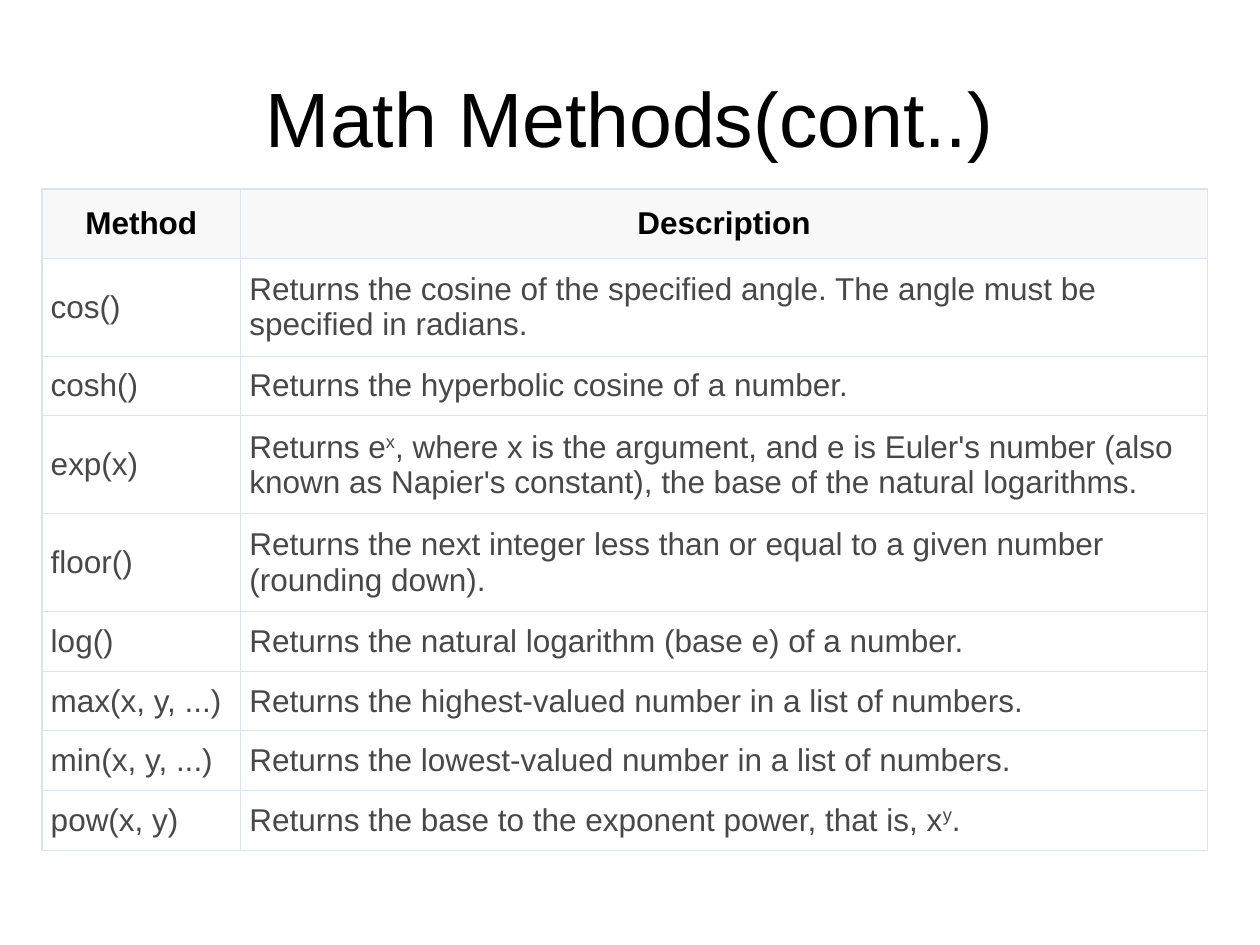
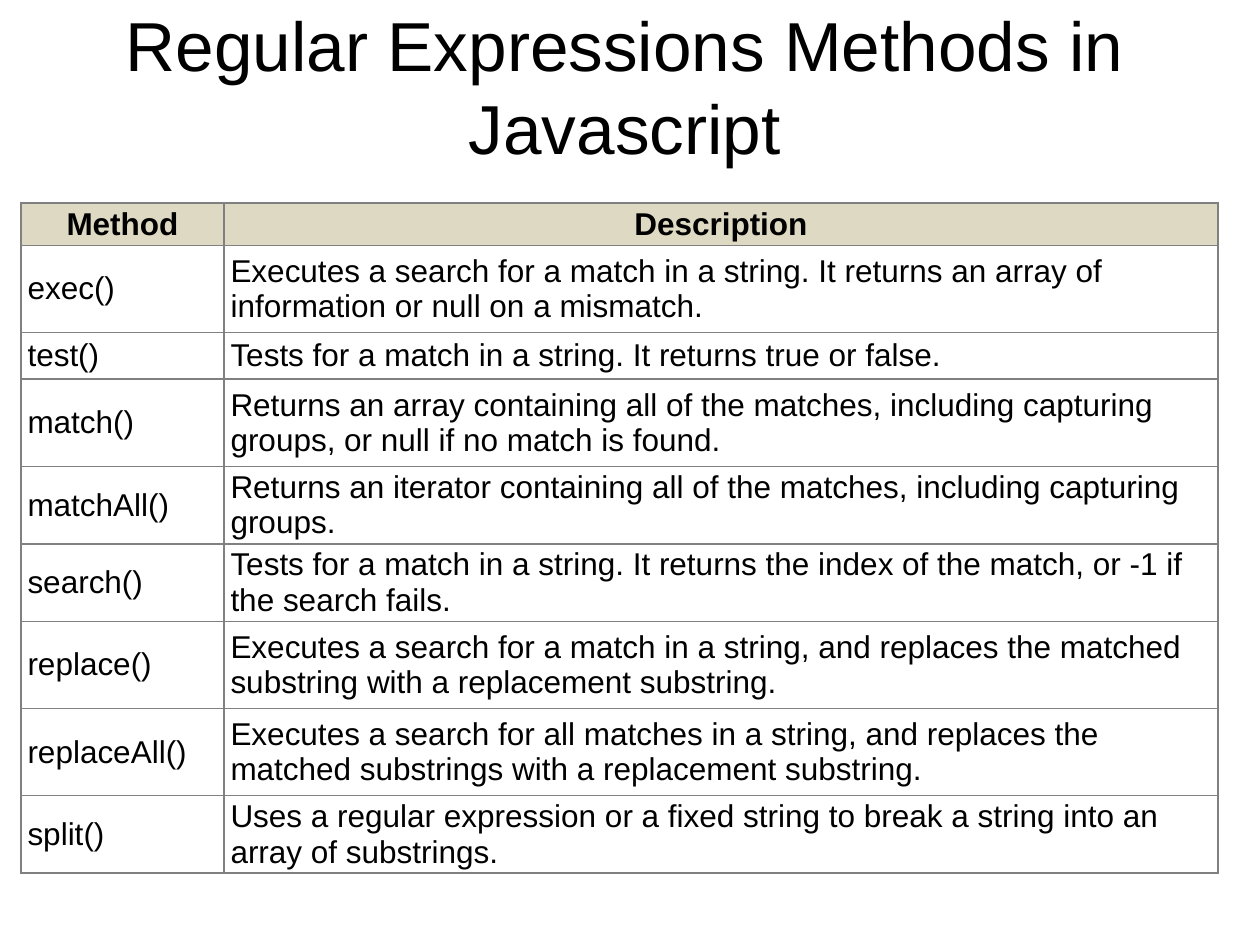
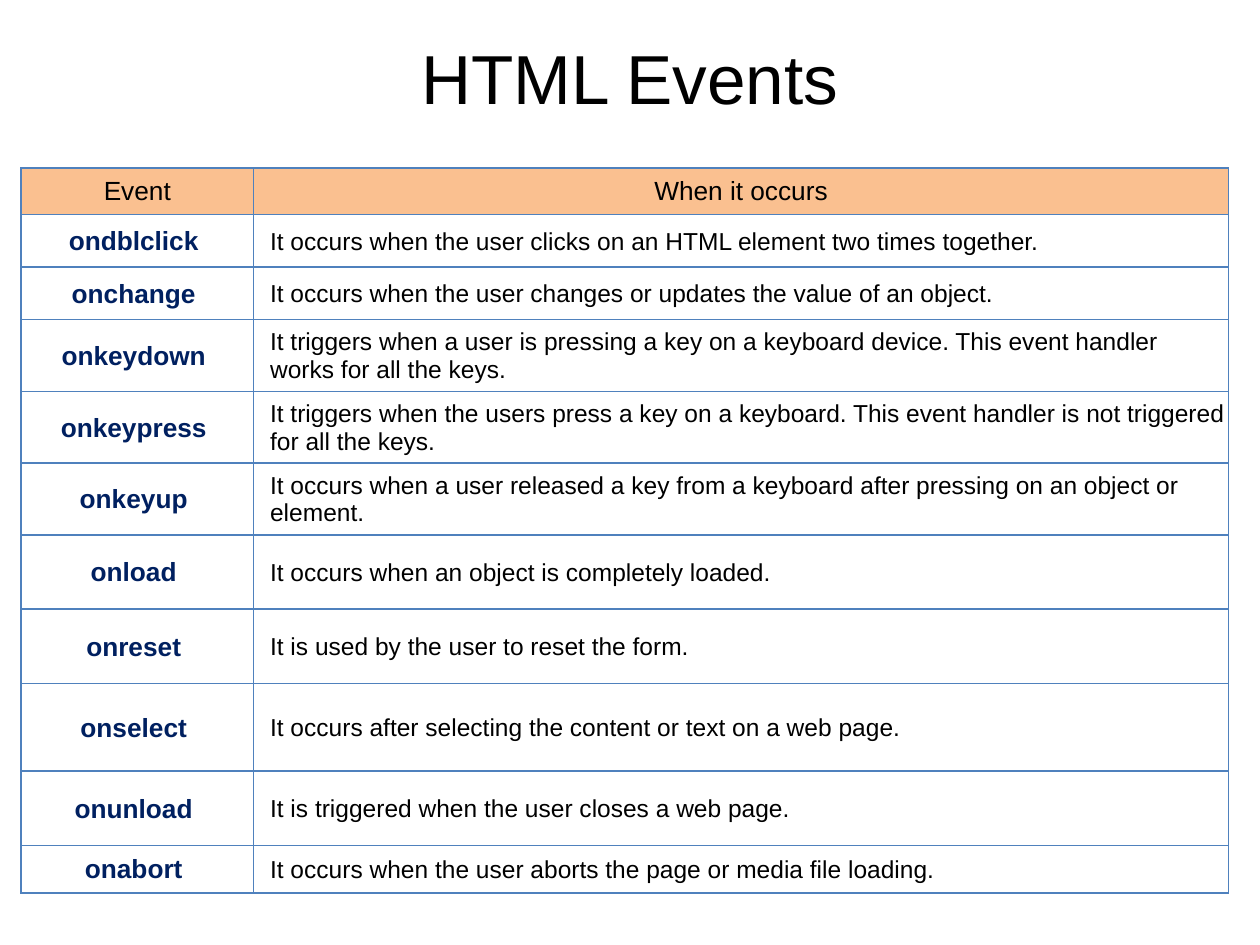
from pptx import Presentation
from pptx.dml.color import RGBColor
from pptx.enum.text import MSO_ANCHOR, MSO_AUTO_SIZE, PP_ALIGN
from pptx.oxml import parse_xml
from pptx.oxml.ns import nsdecls
from pptx.util import Pt

# Colours
BLACK = RGBColor(0x00, 0x00, 0x00)
WHITE = RGBColor(0xFF, 0xFF, 0xFF)
SLATE = RGBColor(0x48, 0x48, 0x48)
PALE = RGBColor(0xF8, 0xF8, 0xF8)
MIST = RGBColor(0xDC, 0xE3, 0xEB)
SAND = RGBColor(0xDD, 0xD9, 0xC3)
GREY = RGBColor(0x80, 0x80, 0x80)
PEACH = RGBColor(0xFA, 0xC0, 0x90)
BLUE = RGBColor(0x4F, 0x81, 0xBD)
NAVY = RGBColor(0x00, 0x20, 0x60)


class Deck:
    """Holds the shared style and the current slide."""

    face = "Arial"

    def __init__(self):
        self.prs = Presentation()
        self.prs.slide_width, self.prs.slide_height = Pt(720), Pt(540)
        self.slide = None

    def style(self, para, size, color=BLACK, bold=False, align=None, indent=0):
        font = para.font
        font.name, font.size, font.bold = self.face, Pt(size), bold
        font.color.rgb = color
        para.alignment = align
        if indent:
            para._p.get_or_add_pPr().set("marL", str(Pt(indent)))

    def page(self, text, size, left, top, width, height):
        """Start a slide and set its centred title."""
        self.slide = self.prs.slides.add_slide(self.prs.slide_layouts[5])
        title = self.slide.shapes.title
        title.left, title.top = Pt(left), Pt(top)
        title.width, title.height = Pt(width), Pt(height)
        frame = title.text_frame
        frame.text = text
        frame.auto_size = MSO_AUTO_SIZE.NONE
        frame.vertical_anchor = MSO_ANCHOR.MIDDLE
        self.style(frame.paragraphs[0], size, align=PP_ALIGN.CENTER)

    def words(self, para, text):
        """Add runs; the parts between carets are raised."""
        for i, part in enumerate(text.split("^")):
            run = para.add_run()
            run.text = part
            if i % 2:
                run._r.get_or_add_rPr().set("baseline", "30000")

    def border(self, cell, color, width):
        props = cell._tc.get_or_add_tcPr()
        for side in "LRTB":
            props.append(parse_xml(
                f'<a:ln{side} {nsdecls("a")} w="{Pt(width)}"><a:solidFill>'
                f'<a:srgbClr val="{color}"/></a:solidFill></a:ln{side}>'))

    def cell(self, cell, text, fill, edge, pad, look):
        self.border(cell, *edge)
        if fill is None:
            cell.fill.background()
        else:
            cell.fill.solid()
            cell.fill.fore_color.rgb = fill
        side, top, base = pad
        cell.margin_left = cell.margin_right = Pt(side)
        cell.margin_top, cell.margin_bottom = Pt(top), Pt(base)
        cell.vertical_anchor = MSO_ANCHOR.MIDDLE
        para = cell.text_frame.paragraphs[0]
        self.words(para, text)
        self.style(para, **look)

    def table(self, left, top, cols, highs, rows, edge, head, body, looks):
        """Draw a grid; head and body are (fill, padding) pairs."""
        frame = self.slide.shapes.add_table(
            len(rows), len(cols), Pt(left), Pt(top), Pt(sum(cols)), Pt(sum(highs)))
        grid = frame.table
        grid.first_row = grid.horz_banding = False
        for col, width in zip(grid.columns, cols):
            col.width = Pt(width)
        for r, (high, row) in enumerate(zip(highs, rows)):
            grid.rows[r].height = Pt(high)
            fill, pad = body if r else head
            for c, text in enumerate(row):
                look = looks[c + 1] if r else looks[0]
                self.cell(grid.cell(r, c), text, fill, edge, pad, look)


deck = Deck()
bold = dict(size=18, bold=True, align=PP_ALIGN.CENTER)

# Math methods
math = [
    ("Method", "Description"),
    ("cos()", "Returns the cosine of the specified angle. The angle must be "
     "specified in radians."),
    ("cosh()", "Returns the hyperbolic cosine of a number."),
    ("exp(x)", "Returns\u00a0e^x^, where\u00a0x\u00a0is the argument, and\u00a0e"
     "\u00a0is Euler's number (also known as Napier's constant), the base of "
     "the natural logarithms."),
    ("floor()", "Returns the next integer less than or equal to a given number "
     "(rounding down)."),
    ("log()", "Returns the natural logarithm (base\u00a0e) of a number."),
    ("max(x, y, ...)", "Returns the highest-valued number in a list of numbers."),
    ("min(x, y, ...)", "Returns the lowest-valued number in a list of numbers."),
    ("pow(x, y)", "Returns the base to the exponent power, that is,\u00a0x^y^."),
]
one, two = 34.1, 56
plain = dict(size=18, color=SLATE)
deck.page("Math Methods(cont..)", 44, 36, 21.6, 648, 90)
deck.table(24, 108, [113.5, 552.5],
           [39.5, two, one, two, two] + [one] * 4, math, (MIST, 0.75),
           (PALE, (4.5, 5, 5)), (WHITE, (5, 3.75, 3.75)), [bold, plain, plain])

# Regular expression methods
regex = [
    ("Method", "Description"),
    ("exec()", "Executes a search for a match in a string. It returns an array "
     "of information or\u00a0null\u00a0on a mismatch."),
    ("test()", "Tests for a match in a string. It returns\u00a0true\u00a0or"
     "\u00a0false."),
    ("match()", "Returns an array containing all of the matches, including "
     "capturing groups, or\u00a0null\u00a0if no match is found."),
    ("matchAll()", "Returns an iterator containing all of the matches, "
     "including capturing groups."),
    ("search()", "Tests for a match in a string. It returns the index of the "
     "match, or\u00a0-1\u00a0if the search fails."),
    ("replace()", "Executes a search for a match in a string, and replaces the "
     "matched substring with a replacement substring."),
    ("replaceAll()", "Executes a search for all matches in a string, and "
     "replaces the matched substrings with a replacement substring."),
    ("split()", "Uses a regular expression or a fixed string to break a string "
     "into an array of substrings."),
]
tight, loose = 38, 49.8
pad = (3.75, 2, 2)
plain = dict(size=18)
deck.page("Regular Expressions Methods in Javascript", 39.6, 18, 21, 678, 55.5)
deck.table(12, 116, [116, 568],
           [15, loose, 26.8, loose, tight, tight, loose, loose, tight],
           regex, (GREY, 1), (SAND, pad), (None, pad), [bold, plain, plain])

# HTML events
events = [
    ("Event", "When it occurs"),
    ("ondblclick ", "It occurs when the user clicks on an HTML element two times "
     "together."),
    ("onchange ", "It occurs when the user changes or updates the value of an "
     "object."),
    ("onkeydown ", "It triggers when a user is pressing a key on a keyboard "
     "device. This event handler works for all the keys."),
    ("onkeypress ", "It triggers when the users press a key on a keyboard. This "
     "event handler is not triggered for all the keys."),
    ("onkeyup ", "It occurs when a user released a key from a keyboard after "
     "pressing on an object or element."),
    ("onload ", "It occurs when an object is completely loaded."),
    ("onreset ", "It is used by the user to reset the form."),
    ("onselect ", "It occurs after selecting the content or text on a web page."),
    ("onunload ", "It is triggered when the user closes a web page."),
    ("onabort ", "It occurs when the user aborts the page or media file loading."),
]
deck.page("HTML Events", 39.6, 36, 21.6, 648, 44.6)
deck.table(12, 96, [133, 557],
           [26.7, 30, 30, 41, 41, 41, 42.5, 42.5, 50, 42.5, 27.2],
           events, (BLUE, 1), (PEACH, (3, 3, 3)), (None, (0.75, 0.75, 0)),
           [dict(size=15, align=PP_ALIGN.CENTER),
            dict(size=15, color=NAVY, bold=True, align=PP_ALIGN.CENTER),
            dict(size=14, indent=8.64)])

deck.prs.save("out.pptx")
